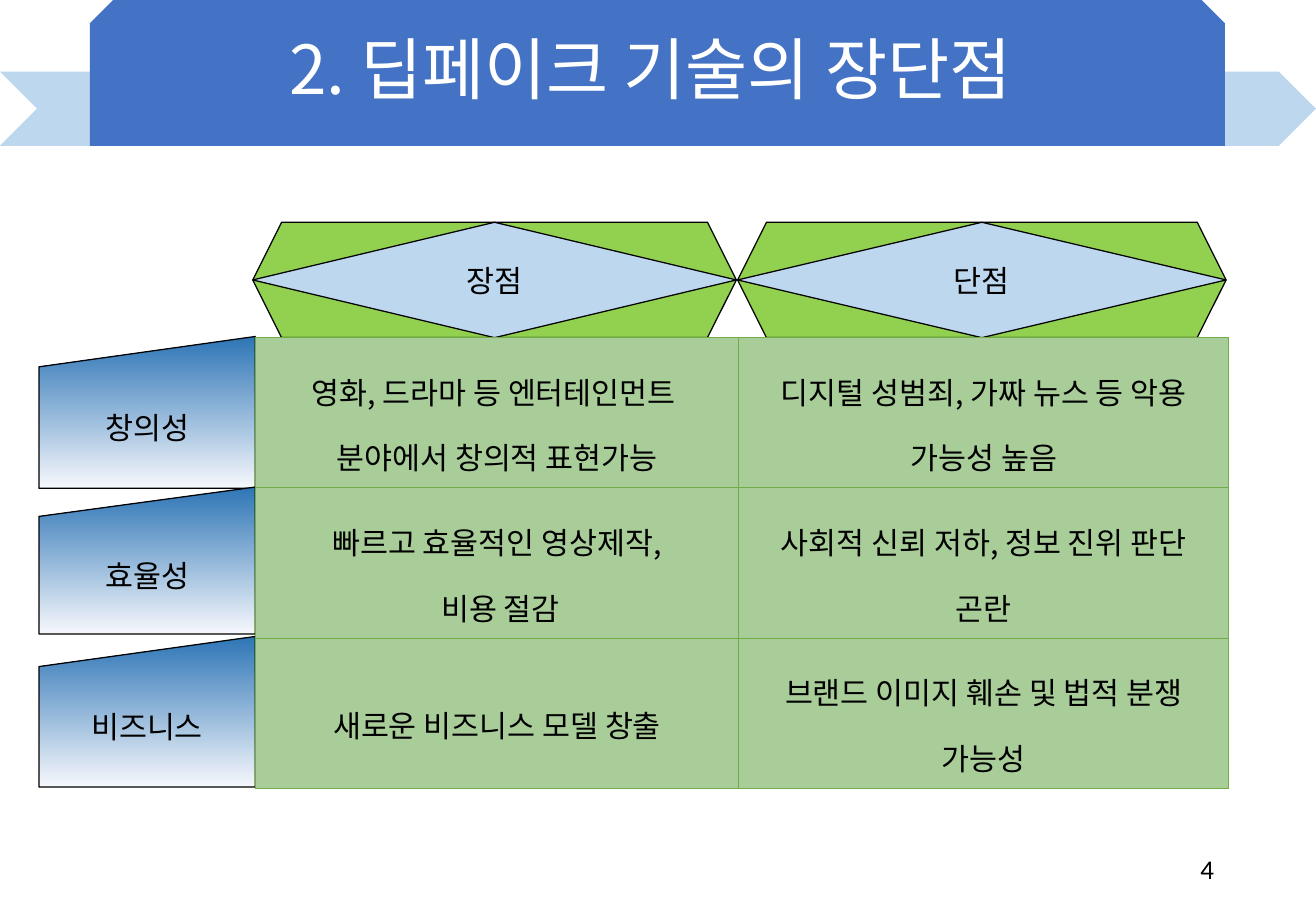
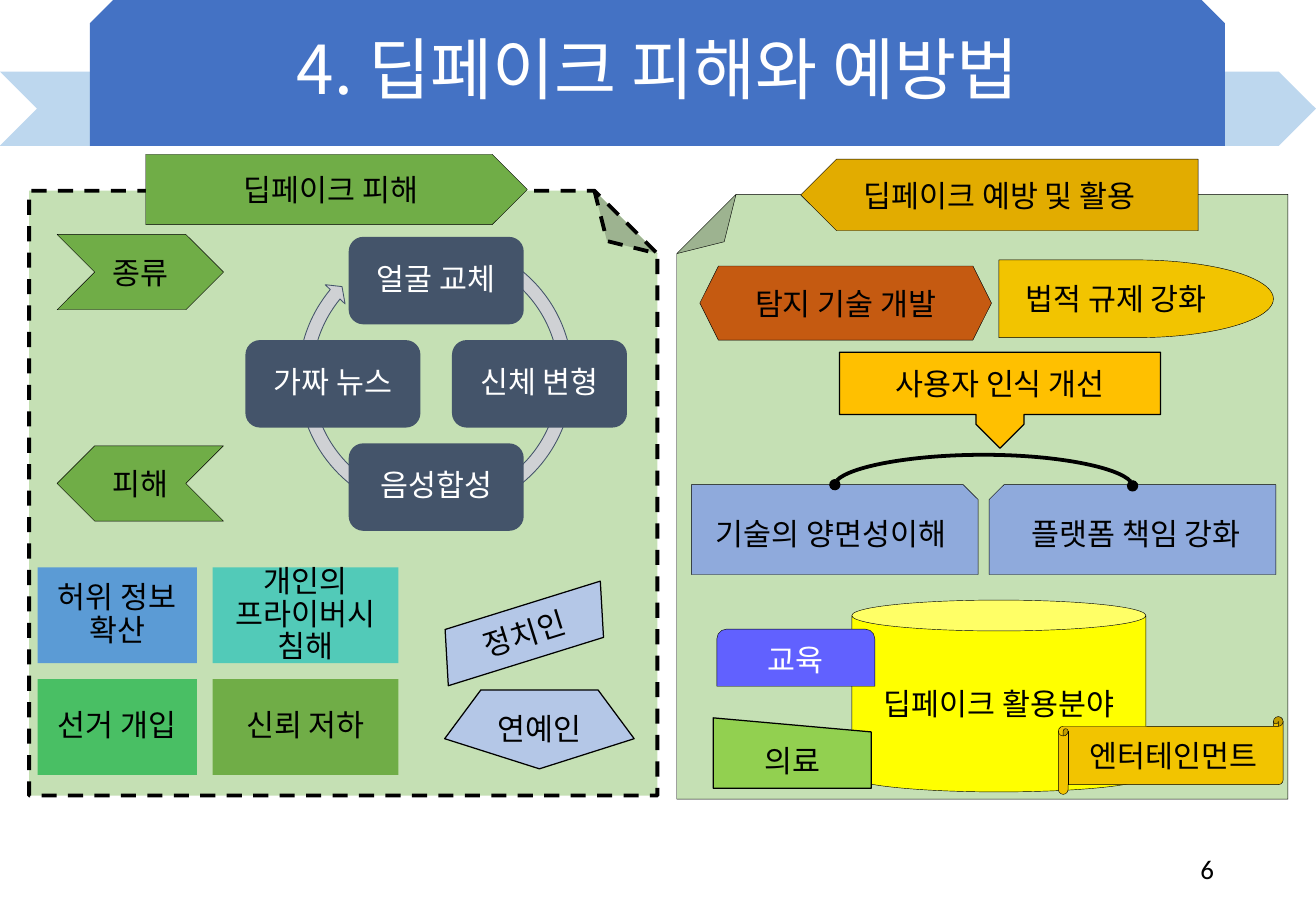
from pptx import Presentation
from pptx.dml.color import RGBColor
from pptx.enum.dml import MSO_LINE
from pptx.enum.shapes import MSO_CONNECTOR, MSO_SHAPE as KIND
from pptx.enum.text import MSO_ANCHOR, MSO_AUTO_SIZE, PP_ALIGN
from pptx.oxml import parse_xml
from pptx.oxml.ns import nsdecls, qn
from pptx.util import Inches, Pt

FACE = "Noto Sans CJK KR"
BLACK, WHITE, SLATE = "000000", "FFFFFF", "44546A"
SKY, GREEN, LIME, MINT = "BDD7EE", "70AD47", "92D050", "C5E0B4"
GOLD, STEEL, LILAC = "F2C400", "8FAADC", "B4C7E7"
hue = RGBColor.from_string


def write(frame, text, size=18, color=BLACK, name=FACE, align=PP_ALIGN.CENTER,
          gap=1.0, pad=None, anchor=MSO_ANCHOR.MIDDLE):
    frame.text = text
    looks = {"word_wrap": True, "auto_size": MSO_AUTO_SIZE.NONE, "vertical_anchor": anchor}
    if pad is not None:
        for side in ("left", "right", "top", "bottom"):
            looks[f"margin_{side}"] = Inches(pad)
    for key, value in looks.items():
        setattr(frame, key, value)
    for para in frame.paragraphs:
        para.alignment, para.line_spacing = align, gap
        for run in para.runs:
            for key, value in {"size": Pt(size), "name": name}.items():
                setattr(run.font, key, value)
            run.font.color.rgb = hue(color)


def draw(slide, kind, box, fill, text="", edge=BLACK, width=0.25, flip="", adj=None, **looks):
    shape = slide.shapes.add_shape(kind, *map(Inches, box))
    shape.shadow.inherit = False
    if isinstance(fill, tuple):
        shape.fill.gradient()
        shape.fill.gradient_angle = 270
        for stop, color in zip(shape.fill.gradient_stops, fill):
            stop.color.rgb = hue(color)
    else:
        shape.fill.solid()
        shape.fill.fore_color.rgb = hue(fill)
    if edge:
        shape.line.color.rgb = hue(edge)
        shape.line.width = Pt(width)
    else:
        shape.line.fill.background()
    props = shape.element.spPr
    for axis in flip:
        props.find(qn("a:xfrm")).set(f"flip{axis}", "1")
    if adj:
        guides = props.find(qn("a:prstGeom")).find(qn("a:avLst"))
        guides.clear()
        for key, value in adj.items():
            guides.append(parse_xml(
                f'<a:gd {nsdecls("a")} name="{key}" fmla="val {round(value * 100000)}"/>'))
    if text:
        write(shape.text_frame, text, **looks)
    return shape


deck = Presentation()
deck.slide_width, deck.slide_height = Inches(10.83), Inches(7.5)
layout = deck.slide_layouts[5]
for holder in list(layout.placeholders):
    if holder.placeholder_format.idx:
        holder.element.getparent().remove(holder.element)
    else:
        spot = {"left": 0, "top": -0.01, "width": 10.83, "height": 1.21}
        for key, value in spot.items():
            setattr(holder, key, Inches(value))

slides = []
for title, number in (("2. 딥페이크 기술의 장단점 ", "4"), ("4. 딥페이크 피해와 예방법", "6")):
    slide = deck.slides.add_slide(layout)
    write(slide.shapes.title.text_frame, title, size=40, color=WHITE, gap=0.9)
    slides.append(slide)
    label = slide.shapes.add_textbox(*map(Inches, (7.65, 6.95, 2.44, 0.4)))
    write(label.text_frame, number, size=16, name="Calibri", align=PP_ALIGN.RIGHT)
merits, harms = slides

bands = [
    draw(merits, KIND.CHEVRON, (0, 0.59, 10.83, 0.61), SKY, edge=None),
    draw(merits, KIND.SNIP_2_SAME_RECTANGLE, (0.74, -0.01, 9.34, 1.21), "4472C4", edge=None),
]
for index, band in enumerate(bands, 2):
    layout.shapes.element.insert(index, band.element)

for text, top, height in (("창의성", 2.77, 1.25), ("효율성", 4.01, 1.21), ("비즈니스", 5.24, 1.24)):
    draw(merits, KIND.FLOWCHART_MANUAL_INPUT, (0.32, top, 1.78, height),
         ("2E75B6", "F6F8FC"), text, width=0.75)
for text, left, width in (("장점", 2.08, 3.98), ("단점", 6.07, 4.02)):
    box = (left, 1.83, width, 0.95)
    draw(merits, KIND.HEXAGON, box, LIME, width=0.75)
    draw(merits, KIND.FLOWCHART_DECISION, box, SKY, text, width=0.75)

rows = [
    ("영화, 드라마 등 엔터테인먼트 \n분야에서 창의적 표현가능", "디지털 성범죄, 가짜 뉴스 등 악용 가능성 높음"),
    ("빠르고 효율적인 영상제작,\n 비용 절감", "사회적 신뢰 저하, 정보 진위 판단 곤란"),
    ("새로운 비즈니스 모델 창출", "브랜드 이미지 훼손 및 법적 분쟁 가능성"),
]
grid = merits.shapes.add_table(3, 2, *map(Inches, (2.1, 2.78, 8.01, 3.71)))
table = grid.table
table.first_row = table.horz_banding = False
for column, width in zip(table.columns, (3.98, 4.03)):
    column.width = Inches(width)
for line, texts in zip(table.rows, rows):
    for cell, text in zip(line.cells, texts):
        cell.fill.solid()
        cell.fill.fore_color.rgb = hue("A9CD99")
        write(cell.text_frame, text, gap=1.5)
        cell.vertical_anchor = MSO_ANCHOR.MIDDLE
for props in grid.element.iter(qn("a:tcPr")):
    for index, side in enumerate("LRTB"):
        props.insert(index, parse_xml(
            f'<a:ln{side} {nsdecls("a")} w="6350"><a:solidFill><a:srgbClr val="{GREEN}"/>'
            f'</a:solidFill></a:ln{side}>'))

sheet = draw(harms, KIND.FOLDED_CORNER, (0.24, 1.57, 5.17, 4.98), MINT,
             width=2.25, flip="V", adj={"adj": 0.104})
sheet.line.dash_style = MSO_LINE.DASH
draw(harms, KIND.CHEVRON, (0.47, 1.93, 1.37, 0.62), GREEN, "종류")
draw(harms, KIND.PENTAGON, (1.2, 1.27, 3.14, 0.58), GREEN, " 딥페이크 피해")
draw(harms, KIND.CHEVRON, (0.47, 3.67, 1.37, 0.62), GREEN, "피해", flip="H")

draw(harms, KIND.CIRCULAR_ARROW, (2.4, 1.92, 2.37, 2.37), "CFD1D4", edge=SLATE, width=0.5,
     adj={"adj1": 0.047, "adj2": 2.729, "adj3": 131.711, "adj4": 178.038, "adj5": 0.048})
cycle = (("얼굴 교체", 0, -1), ("신체 변형", 1, 0), ("음성합성", 0, 1), ("가짜 뉴스", -1, 0))
for text, across, down in cycle:
    draw(harms, KIND.ROUNDED_RECTANGLE, (2.87 + 0.85 * across, 2.8 + 0.85 * down, 1.44, 0.72),
         SLATE, text, edge=None, color=WHITE, gap=0.9, pad=0.07)

tiles = (("허위 정보 확산", "5B9BD5"), ("개인의 프라이버시 침해", "52CAB8"),
         ("선거 개입", "49BF64"), ("신뢰 저하", GREEN))
for index, (text, fill) in enumerate(tiles):
    left, width = ((0.31, 1.31), (1.75, 1.53))[index % 2]
    draw(harms, KIND.RECTANGLE, (left, 4.67 + 0.92 * (index // 2), width, 0.79),
         fill, text, edge=None, gap=0.9, pad=0.07)

leader = draw(harms, KIND.PARALLELOGRAM, (3.59, 4.99, 1.45, 0.45), LILAC, "정치인", width=0.75)
leader.rotation = 342.7
draw(harms, KIND.REGULAR_PENTAGON, (3.66, 5.68, 1.56, 0.65), LILAC, width=0.75, flip="HV")

draw(harms, KIND.FOLDED_CORNER, (5.57, 1.6, 5.03, 4.98), MINT, flip="HV", adj={"adj": 0.098})
for text, left, flip in (("기술의 양면성이해", 5.69, ""), ("플랫폼 책임 강화", 8.14, "H")):
    draw(harms, KIND.SNIP_1_RECTANGLE, (left, 3.99, 2.36, 0.74), STEEL, text, flip=flip)
draw(harms, KIND.PENTAGON, (6.59, 1.31, 3.27, 0.59), "E2AC00", flip="HV")

arc = harms.shapes.add_connector(MSO_CONNECTOR.CURVE, *map(Inches, (8.1, 2.77, 8.09, 5.22)))
arc.line.color.rgb = hue(BLACK)
arc.line.width = Pt(2.25)
props = arc.element.spPr
props.find(qn("a:xfrm")).set("rot", "16200000")
props.find(qn("a:prstGeom")).find(qn("a:avLst")).append(
    parse_xml(f'<a:gd {nsdecls("a")} name="adj1" fmla="val -2500000"/>'))
for tip in ("headEnd", "tailEnd"):
    props.find(qn("a:ln")).append(parse_xml(f'<a:{tip} {nsdecls("a")} type="oval"/>'))
props.append(parse_xml(f'<a:effectLst {nsdecls("a")}/>'))

draw(harms, KIND.CAN, (7.01, 4.94, 2.42, 1.58), "FFFF00", "딥페이크 활용분야", adj={"adj": 0.161})
draw(harms, KIND.HEXAGON, (5.76, 2.19, 2.4, 0.61), "C55A11", "탐지 기술 개발")
draw(harms, KIND.FLOWCHART_DELAY, (8.22, 2.14, 2.26, 0.64), GOLD, "법적 규제 강화")
draw(harms, KIND.HORIZONTAL_SCROLL, (8.71, 5.9, 1.85, 0.64), GOLD, "엔터테인먼트")
draw(harms, KIND.DOWN_ARROW_CALLOUT, (6.91, 2.9, 2.64, 0.79), "FFC000", "사용자 인식 개선",
     width=0.75, adj={"adj1": 0.5, "adj2": 0.25, "adj3": 0.25, "adj4": 0.65})
draw(harms, KIND.ROUND_2_SAME_RECTANGLE, (5.9, 5.18, 1.3, 0.47), "6161FF", "교육", color=WHITE)
draw(harms, KIND.FLOWCHART_MANUAL_INPUT, (5.87, 5.91, 1.3, 0.58), LIME, "의료",
     width=0.75, flip="H")
for text, box in (("딥페이크 예방 및 활용", (6.82, 1.41, 2.81, 0.4)), ("연예인", (3.64, 5.8, 1.6, 0.4))):
    label = harms.shapes.add_textbox(*map(Inches, box))
    write(label.text_frame, text, anchor=MSO_ANCHOR.TOP)

for slide in slides:
    for latin in list(slide.element.iter(qn("a:latin"))):
        latin.addnext(parse_xml(f'<a:ea {nsdecls("a")} typeface="{latin.get("typeface")}"/>'))

deck.save("out.pptx")
